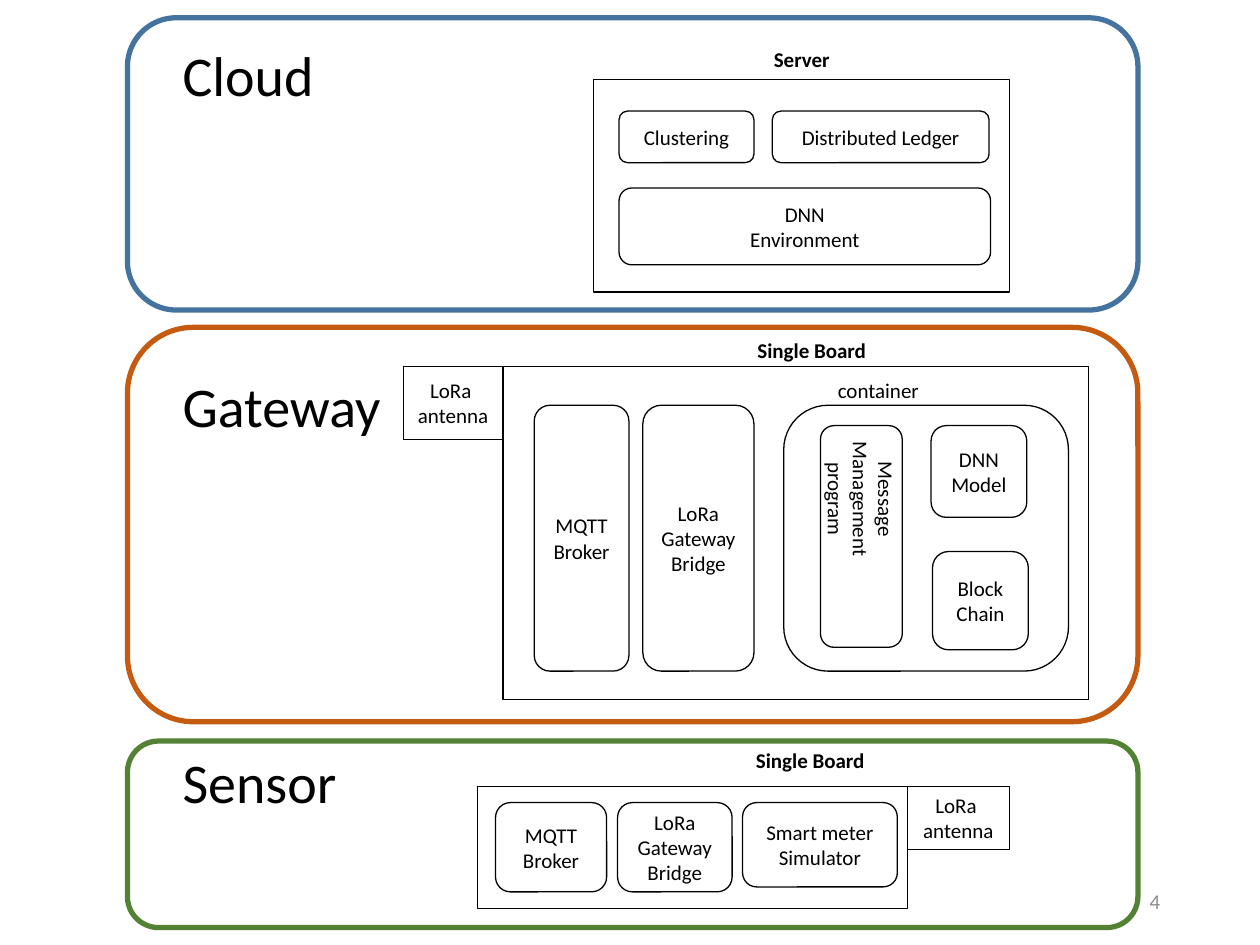
import pptx
import pptx.util
import pptx.dml.color
import pptx.enum.shapes
import pptx.enum.text

Cm, Pt = pptx.util.Cm, pptx.util.Pt
RGBColor = pptx.dml.color.RGBColor
KIND = pptx.enum.shapes.MSO_SHAPE
ALIGN = pptx.enum.text.PP_ALIGN
MIDDLE = pptx.enum.text.MSO_ANCHOR.MIDDLE

BLACK = RGBColor(0x00, 0x00, 0x00)
GRAY = RGBColor(0x8C, 0x8C, 0x8C)
BLUE = RGBColor(0x43, 0x73, 0x9E)
ORANGE = RGBColor(0xC5, 0x5A, 0x11)
GREEN = RGBColor(0x54, 0x82, 0x35)

FONT = "Calibri"
LEFT, WIDTH = 2.57, 20.37  # shared by the three layers
INDENT = 0.86              # layer title, from the layer's left edge
BOARD = "Single Board"
ANTENNA = "LoRa \nantenna"
BROKER = "MQTT\nBroker"
BRIDGE = "LoRa\nGateway\nBridge"


def write(frame, text, size=12, color=BLACK, bold=False, align=ALIGN.LEFT):
    """Fill a text frame, one paragraph a line."""
    frame.text = text
    for para in frame.paragraphs:
        para.alignment = align
        for run in para.runs:
            run.font.name = FONT
            run.font.size = Pt(size)
            run.font.bold = bold
            run.font.color.rgb = color


class Layer:
    """A framed band whose parts are placed from its top left corner."""

    def __init__(self, slide, top, height, color):
        self.shapes = slide.shapes
        self.top = top
        self.box(0, 0, WIDTH, height, color=color, line=3)

    def place(self, x, y, w, h):
        return Cm(LEFT + x), Cm(self.top + y), Cm(w), Cm(h)

    def box(self, x, y, w, h, text="", kind=KIND.ROUNDED_RECTANGLE,
            color=BLACK, line=0.75, tight=False):
        shape = self.shapes.add_shape(kind, *self.place(x, y, w, h))
        shape.shadow.inherit = False
        shape.fill.background()
        shape.line.color.rgb = color
        shape.line.width = Pt(line)
        frame = shape.text_frame
        frame.vertical_anchor = MIDDLE
        if tight:
            frame.margin_left = frame.margin_right = Cm(0.19)
            frame.margin_top = frame.margin_bottom = Cm(0.1)
        if text:
            write(frame, text, align=ALIGN.CENTER)
        return shape

    def rect(self, x, y, w, h, text=""):
        return self.box(x, y, w, h, text, KIND.RECTANGLE, tight=True)

    def label(self, x, y, w, text, bold=True):
        area = self.shapes.add_textbox(*self.place(x, y, w, 0.76))
        area.text_frame.word_wrap = False
        write(area.text_frame, text, bold=bold)

    def title(self, y, w, h, text):
        area = self.shapes.add_textbox(*self.place(INDENT, y, w, h))
        frame = area.text_frame
        frame.word_wrap = True
        frame.vertical_anchor = MIDDLE
        write(frame, text, size=32)
        frame.paragraphs[0].line_spacing = 0.9


def cloud(slide, top, height):
    layer = Layer(slide, top, height, BLUE)
    layer.title(0, 3.66, 2.44, "Cloud")
    # Server and its software
    layer.rect(9.4, 1.24, 8.38, 4.29)
    layer.label(12.78, 0.46, 1.65, "Server")
    layer.box(9.91, 1.88, 2.72, 1.04, "Clustering")
    layer.box(13, 1.88, 4.37, 1.04, "Distributed Ledger")
    layer.box(9.91, 3.43, 7.49, 1.55, "DNN\nEnvironment")


def gateway(slide, top, height):
    layer = Layer(slide, top, height, ORANGE)
    layer.title(0.58, 5, 2.13, "Gateway")
    # Board with antenna
    layer.rect(7.57, 0.79, 11.81, 6.71)
    layer.rect(5.56, 0.79, 2.01, 1.47, ANTENNA)
    layer.label(12.45, 0.08, 2.74, BOARD)
    # Services
    layer.box(8.2, 1.57, 1.91, 5.36, BROKER)
    layer.box(10.39, 1.57, 2.24, 5.36, BRIDGE)
    # Container
    layer.box(13.23, 1.57, 5.74, 5.36)
    layer.label(14.07, 0.89, 2.16, "container", bold=False)
    prog = layer.box(13.97, 1.98, 1.65, 4.47, "Message\nManagement program")
    prog.element.txBody.bodyPr.set("vert", "eaVert")
    layer.box(16.2, 1.98, 1.93, 1.85, "DNN\nModel")
    layer.box(16.23, 4.52, 1.93, 1.98, "Block\nChain")


def sensor(slide, top, height):
    layer = Layer(slide, top, height, GREEN)
    layer.title(0, 3.91, 1.78, "Sensor")
    # Board with antenna
    layer.rect(7.06, 0.91, 8.66, 2.46)
    layer.rect(15.72, 0.91, 2.06, 1.27, ANTENNA)
    layer.label(12.42, 0, 2.74, BOARD)
    # Services
    layer.box(7.42, 1.24, 2.24, 1.8, BROKER)
    layer.box(9.88, 1.24, 2.31, 1.8, BRIDGE)
    layer.box(12.4, 1.24, 3.12, 1.7, "Smart meter\nSimulator", tight=True)


def number(slide, x, y, w, h):
    area = slide.shapes.add_textbox(Cm(x), Cm(y), Cm(w), Cm(h))
    area.text_frame.word_wrap = True
    area.text_frame.vertical_anchor = MIDDLE
    write(area.text_frame, "4", color=GRAY, align=ALIGN.RIGHT)


def main():
    deck = pptx.Presentation()
    deck.slide_width, deck.slide_height = Cm(25.4), Cm(19.05)
    slide = deck.slides.add_slide(deck.slide_layouts[6])
    cloud(slide, 0.36, 5.89)
    gateway(slide, 6.6, 7.95)
    sensor(slide, 14.94, 3.76)
    number(slide, 17.93, 17.65, 5.71, 1.02)
    deck.save("out.pptx")


if __name__ == "__main__":
    main()
